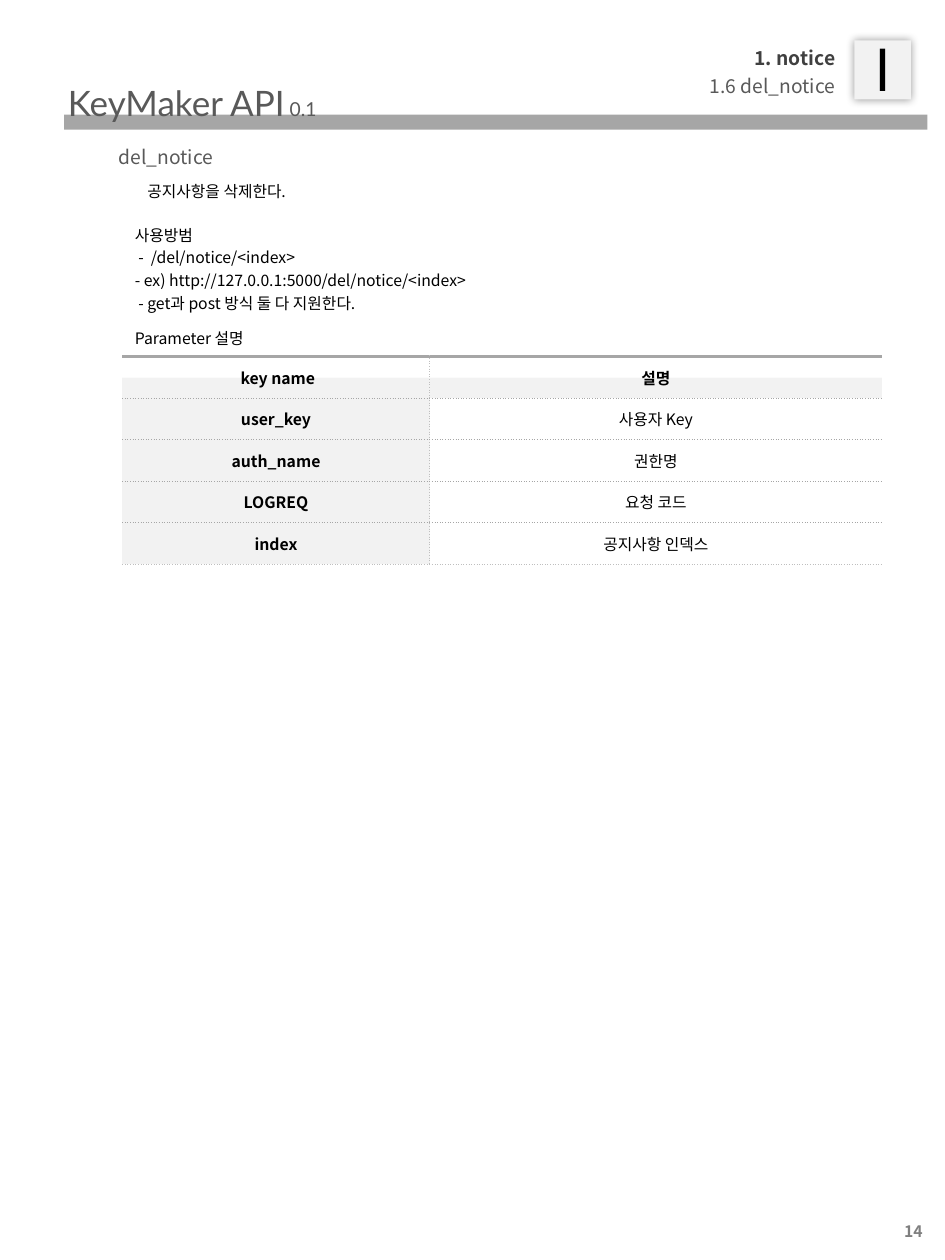
from dataclasses import dataclass

from lxml import etree
from pptx import Presentation
from pptx import util as u
from pptx.dml.color import RGBColor
from pptx.enum import shapes, text
from pptx.oxml import ns

L, R, C, J = (text.PP_ALIGN.LEFT, text.PP_ALIGN.RIGHT,
              text.PP_ALIGN.CENTER, text.PP_ALIGN.JUSTIFY)
TOP, MIDDLE = text.MSO_ANCHOR.TOP, text.MSO_ANCHOR.MIDDLE
PADDED = (0.1, 0.05)


@dataclass(frozen=True)
class Theme:
    """Fonts, type sizes and colours of the slide."""
    latin: str = "Lato"
    body_font: str = "Noto Sans CJK KR"
    brand: int = 20
    chapter: int = 33
    heading: int = 11
    body: int = 9
    black: str = "000000"
    dark: str = "404040"
    grey: str = "595959"
    number: str = "7F7F7F"
    rule: str = "A6A6A6"
    soft_rule: str = "BFBFBF"
    panel: str = "F2F2F2"
    white: str = "FFFFFF"


T = Theme()

TITLE = "del_notice"
BRAND, VERSION = "KeyMaker API", " 0.1"
CHAPTER, PAGE = "I", "14"
SECTION = ["1. notice", " 1.6 del_notice"]
BODY = [  # box, lines
    ((1.17, 1.41, 5.71, 0.18), ["공지사항을 삭제한다."]),
    ((1.07, 1.76, 5.71, 0.73), [
        "사용방범 ",
        " -  /del/notice/<index>",
        "- ex) http://127.0.0.1:5000/del/notice/<index>",
        " - get과 post 방식 둘 다 지원한다.",
    ]),
    ((1.07, 2.58, 5.71, 0.16), ["Parameter 설명"]),
]
PARAMETERS = [
    (" key name", "설명"),
    ("user_key", "사용자 Key"),
    ("auth_name", "권한명"),
    ("LOGREQ", "요청 코드"),
    ("index", "공지사항 인덱스"),
]
TABLE_AT = (0.97, 2.83)
COLUMNS, ROW = (2.44, 3.59), 0.33


def rgb(color):
    """Turn a hex string into a colour."""
    return RGBColor.from_string(color)


def inches(values):
    """Turn plain numbers into lengths."""
    return [u.Inches(v) for v in values]


def style(r, size, color, bold=False, font=T.body_font):
    """Format one run, East Asian font included."""
    r.font.size, r.font.bold, r.font.name = u.Pt(size), bold, font
    r.font.color.rgb = rgb(color)
    ea = etree.SubElement(r._r.get_or_add_rPr(), ns.qn("a:ea"))
    ea.set("typeface", font)


def write(sp, lines, size, color, align=L, anchor=TOP, spacing=None,
          pad=(0, 0), wrap=True, bold=False, font=T.body_font):
    """Fill a shape with lines of text in one style."""
    tf = sp.text_frame
    tf.text = "\n".join(lines)
    tf.word_wrap, tf.vertical_anchor = wrap, anchor
    tf.auto_size = text.MSO_AUTO_SIZE.SHAPE_TO_FIT_TEXT
    tf.margin_left = tf.margin_right = u.Inches(pad[0])
    tf.margin_top = tf.margin_bottom = u.Inches(pad[1])
    for p in tf.paragraphs:
        p.alignment = align
        if spacing:
            p.line_spacing = spacing
        for r in p.runs:
            style(r, size, color, bold, font)
    return tf


def add_text(s, box, lines, size, color, **options):
    """Add a text box holding the given lines."""
    return write(s.shapes.add_textbox(*inches(box)), lines, size, color, **options)


def add_panel(s, box, color):
    """Add a plain rectangle without outline."""
    sp = s.shapes.add_shape(shapes.MSO_SHAPE.RECTANGLE, *inches(box))
    sp.shadow.inherit = False
    sp.fill.solid()
    sp.fill.fore_color.rgb = rgb(color)
    sp.line.fill.background()
    return sp


def add_glow_shadow(sp, blur, alpha):
    """Give a shape a centred soft black shadow."""
    effects = sp._element.spPr.find(ns.qn("a:effectLst"))
    shadow = etree.SubElement(effects, ns.qn("a:outerShdw"), blurRad=str(u.Pt(blur)),
                              dist="0", dir="0", algn="ctr", rotWithShape="0")
    color = etree.SubElement(shadow, ns.qn("a:srgbClr"), val=T.black)
    etree.SubElement(color, ns.qn("a:alpha"), val=str(alpha * 1000))


def set_borders(cell, edges):
    """Draw left, right, top and bottom edges: (colour, width, dash) or None."""
    tcPr = cell._tc.get_or_add_tcPr()
    for i, (side, edge) in enumerate(zip("LRTB", edges)):
        ln = etree.Element(ns.qn("a:ln" + side))
        if edge:
            color, width, dash = edge
            ln.set("w", str(u.Pt(width)))
            fill = etree.SubElement(ln, ns.qn("a:solidFill"))
            etree.SubElement(fill, ns.qn("a:srgbClr"), val=color)
            etree.SubElement(ln, ns.qn("a:prstDash"), val=dash)
        else:
            etree.SubElement(ln, ns.qn("a:noFill"))
        tcPr.insert(i, ln)


def fill_cell(cell, header, key):
    """Fill a header cell with a hard two-tone step, others with one colour."""
    if not header:
        cell.fill.solid()
        cell.fill.fore_color.rgb = rgb(T.panel if key else T.white)
        return
    cell.fill.gradient()
    cell.fill.gradient_angle = 270
    steps = ((0.5, T.white), (0.51, T.panel))
    for stop, (position, color) in zip(cell.fill.gradient_stops, steps):
        stop.position = position
        stop.color.rgb = rgb(color)


def add_parameters(s):
    """Add the parameter table."""
    count = len(PARAMETERS)
    box = (*TABLE_AT, sum(COLUMNS), ROW * count)
    table = s.shapes.add_table(count, len(COLUMNS), *inches(box)).table
    table.first_row = table.horz_banding = False
    for column, width in zip(table.columns, COLUMNS):
        column.width = u.Inches(width)
    middle = (T.soft_rule, 0.5, "sysDot")
    rules = [(T.rule, 1.5, "solid")] + [(T.rule, 0.5, "sysDot")] * (count - 1) + [middle]
    for i, values in enumerate(PARAMETERS):
        table.rows[i].height = u.Inches(ROW)
        for j, value in enumerate(values):
            cell, key = table.cell(i, j), j == 0
            cell.text = value
            cell.vertical_anchor = MIDDLE
            cell.margin_left = cell.margin_right = 0
            cell.margin_top = cell.margin_bottom = 0
            p = cell.text_frame.paragraphs[0]
            p.alignment = C
            style(p.runs[0], T.body, T.black, bold=key or i == 0)
            fill_cell(cell, i == 0, key)
            sides = (None, middle) if key else (middle, None)
            set_borders(cell, (*sides, rules[i], rules[i + 1]))


def add_header(s):
    """Add the bar, document name, chapter tile, page number and section."""
    add_panel(s, (0.51, 0.91, 6.85, 0.12), T.rule)
    tf = add_text(s, (0.44, 0.6, 2.83, 0.43), [BRAND], T.brand, T.grey,
                  pad=PADDED, font=T.latin)
    r = tf.paragraphs[0].add_run()
    r.text = VERSION
    style(r, T.heading, T.grey, font=T.latin)
    add_glow_shadow(add_panel(s, (6.78, 0.32, 0.45, 0.47), T.panel), 5, 40)
    add_text(s, (7.06, 9.65, 0.38, 0.25), [PAGE], T.body, T.number, align=C,
             anchor=MIDDLE, pad=PADDED, wrap=False, bold=True)
    add_text(s, (6.84, 0.22, 0.37, 0.65), [CHAPTER], T.chapter, T.black, pad=PADDED)
    tf = add_text(s, (2.33, 0.33, 4.3, 0.44), SECTION, T.heading, T.grey,
                  align=R, anchor=MIDDLE, spacing=1.2)
    first = tf.paragraphs[0].runs[0].font
    first.bold, first.color.rgb = True, rgb(T.dark)


def build():
    """Build and save the slide."""
    prs = Presentation()
    prs.slide_width, prs.slide_height = inches((7.5, 10))
    s = prs.slides.add_slide(prs.slide_layouts[5])
    add_header(s)
    title = s.shapes.title
    title.left, title.top, title.width, title.height = inches((0.94, 1.12, 4.77, 0.22))
    write(title, [TITLE], T.heading, T.grey, anchor=MIDDLE, spacing=1.2)
    for box, lines in BODY:
        add_text(s, box, lines, T.body, T.black, align=J, spacing=1.2)
    add_parameters(s)
    prs.save("out.pptx")


build()
